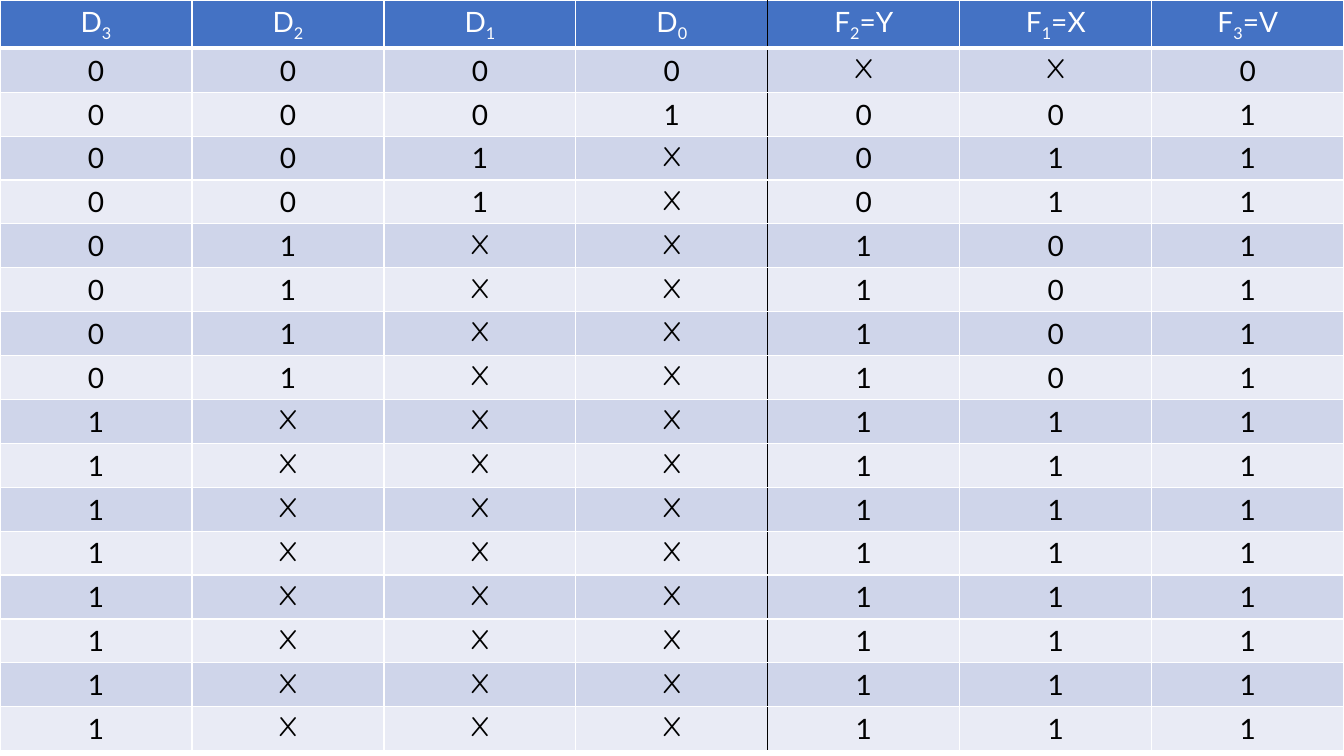
from lxml.etree import SubElement
from pptx import Presentation
from pptx.dml.color import RGBColor
from pptx.enum.text import PP_ALIGN
from pptx.oxml.ns import qn
from pptx.util import Inches, Pt

COLORS = {
    "header": "4472C4",
    "odd_row": "CFD5EA",
    "even_row": "E9EBF5",
    "border": "FFFFFF",
    "divider": "000000",
    "header_text": "FFFFFF",
    "body_text": "000000",
}
HEADINGS = [
    ("D", "3", ""), ("D", "2", ""), ("D", "1", ""), ("D", "0", ""),
    ("F", "2", "=Y"), ("F", "1", "=X"), ("F", "3", "=V"),
]
STATES = [("0000XX0", 1), ("0001001", 1), ("001X011", 2), ("01XX101", 4), ("1XXX111", 8)]
INPUT_COUNT = 4
ROW_HEIGHT = 0.35


def add_text(paragraph, text, color, subscript=False):
    run = paragraph.add_run()
    run.text = text
    formats = {"size": Pt(20), "bold": False, "name": "Comic Neue" if text == "X" else "Lato"}
    for attribute, value in formats.items():
        setattr(run.font, attribute, value)
    run.font.color.rgb = RGBColor.from_string(COLORS[color])
    if subscript:
        run._r.get_or_add_rPr().set("baseline", "-25000")


def add_borders(cell, row, column):
    borders = {
        "a:lnL": ("divider" if column == INPUT_COUNT else "border", 1),
        "a:lnR": ("divider" if column == INPUT_COUNT - 1 else "border", 1),
        "a:lnT": ("border", 3 if row == 1 else 1),
        "a:lnB": ("border", 3 if row == 0 else 1),
    }
    properties = cell._tc.get_or_add_tcPr()
    for side, (color, width) in borders.items():
        line = SubElement(properties, qn(side), w=str(Pt(width)))
        fill = SubElement(line, qn("a:solidFill"))
        SubElement(fill, qn("a:srgbClr"), val=COLORS[color])


def format_cell(cell, row, column, fill):
    add_borders(cell, row, column)
    cell.fill.solid()
    cell.fill.fore_color.rgb = RGBColor.from_string(COLORS[fill])
    paragraph = cell.text_frame.paragraphs[0]
    paragraph.alignment = PP_ALIGN.CENTER
    return paragraph


def add_truth_table(slide, left, top, width, height):
    states = [state for state, count in STATES for _ in range(count)]
    frame = slide.shapes.add_table(
        len(states) + 1, len(HEADINGS),
        Inches(left), Inches(top), Inches(width), Inches(height),
    )
    truth_table = frame.table
    truth_table.horz_banding = False
    for table_row in truth_table.rows:
        table_row.height = Inches(ROW_HEIGHT)
    frame.height = Inches(height)

    for column, (letter, index, suffix) in enumerate(HEADINGS):
        heading = format_cell(truth_table.cell(0, column), 0, column, "header")
        add_text(heading, letter, "header_text")
        add_text(heading, index, "header_text", subscript=True)
        if suffix:
            add_text(heading, suffix, "header_text")

    for row, state in enumerate(states, start=1):
        fill = "odd_row" if row % 2 else "even_row"
        for column, value in enumerate(state):
            entry = format_cell(truth_table.cell(row, column), row, column, fill)
            add_text(entry, value, "body_text")


def main():
    presentation = Presentation()
    presentation.slide_width = Inches(13.33)
    presentation.slide_height = Inches(7.5)
    slide = presentation.slides.add_slide(presentation.slide_layouts[6])
    add_truth_table(slide, 0, 0, 13.33, 7.37)
    presentation.save("out.pptx")


if __name__ == "__main__":
    main()
